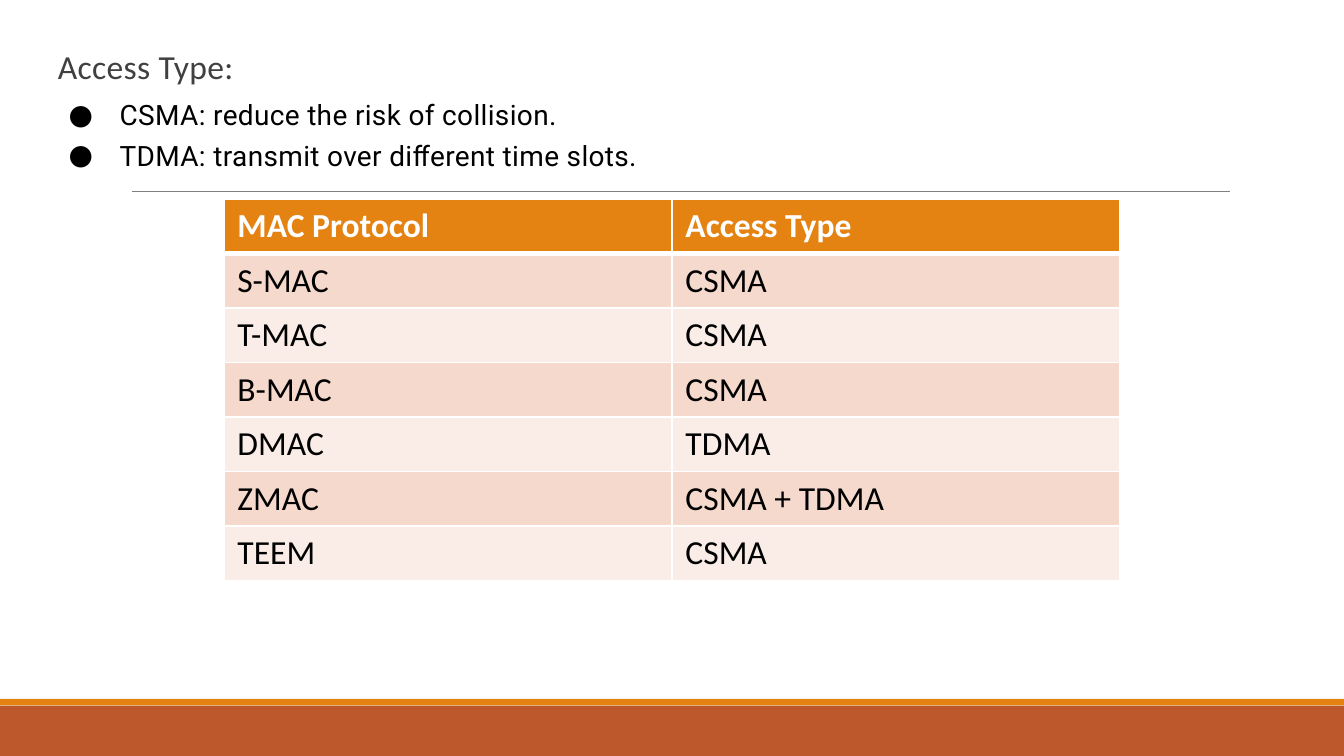
from dataclasses import dataclass

from lxml import etree
from pptx import Presentation
from pptx.dml.color import RGBColor
from pptx.enum.shapes import MSO_CONNECTOR, MSO_SHAPE
from pptx.enum.text import MSO_ANCHOR, MSO_AUTO_SIZE, PP_ALIGN
from pptx.oxml.ns import qn
from pptx.util import Inches, Pt

LINE = MSO_CONNECTOR.STRAIGHT
RECT = MSO_SHAPE.RECTANGLE
BOTTOM, TOP = MSO_ANCHOR.BOTTOM, MSO_ANCHOR.TOP
FIXED = MSO_AUTO_SIZE.NONE
LEFT = PP_ALIGN.LEFT
WIDE = Inches(10)
HIGH = WIDE * 9 // 16


@dataclass(frozen=True)
class Theme:
    """Colours, fonts and type sizes of the deck."""
    head: str = "E48312"
    base: str = "BD582C"
    rule: str = "808080"
    title: str = "404040"
    ink: str = "000000"
    white: str = "FFFFFF"
    bands: tuple = ("F5D9CC", "FAEDE7")
    main: str = "Calibri"
    list: str = "Roboto"
    big: float = 18
    small: float = 15


THEME = Theme()


def place(left, top, width, height):
    """Turn percent shares of the slide into a box in EMU."""
    return [round(share * side / 100) for share, side in
            zip((left, top, width, height), (WIDE, HIGH, WIDE, HIGH))]


def assign(item, values):
    """Set attributes from a dict of format values."""
    for name, value in values.items():
        setattr(item, name, value)


def write(para, text, color, font, size, bold=False, space=None):
    """Add one formatted run to a paragraph."""
    run = para.add_run()
    run.text = text
    assign(run.font, {"name": font, "size": Pt(size), "bold": bold})
    run.font.color.rgb = RGBColor.from_string(color)
    if space:
        run.font._element.set("spc", str(space))


def frame(shape, anchor, inset):
    """Fix the text frame of a shape and return it."""
    text = shape.text_frame
    assign(text, {"word_wrap": True, "auto_size": FIXED,
                  "vertical_anchor": anchor, "margin_left": 0,
                  "margin_right": 0, "margin_bottom": 0,
                  "margin_top": Inches(inset)})
    return text


def indent(para, left, first):
    """Indent a paragraph and return its properties."""
    props = para._p.get_or_add_pPr()
    props.set("marL", str(Inches(left)))
    props.set("indent", str(Inches(first)))
    return props


def add_band(slide, box, color):
    """Draw one plain band."""
    band = slide.shapes.add_shape(RECT, *box)
    band.shadow.inherit = False
    band.fill.solid()
    band.fill.fore_color.rgb = RGBColor.from_string(color)
    band.line.fill.background()


def add_rule(slide, box):
    """Draw a thin line along the top of the box."""
    left, top, width, _ = box
    rule = slide.shapes.add_connector(LINE, left, top, left + width, top)
    rule.line.width = Pt(0.5)
    rule.line.color.rgb = RGBColor.from_string(THEME.rule)
    etree.SubElement(rule._element.spPr, qn("a:effectLst"))


def add_title(slide, box, text):
    """Move and format the title placeholder."""
    title = slide.shapes.title
    assign(title, dict(zip(("left", "top", "width", "height"), box)))
    para = frame(title, BOTTOM, 0.01).paragraphs[0]
    assign(para, {"alignment": LEFT, "line_spacing": 1.0})
    indent(para, 0.01, 0)
    write(para, text, THEME.title, THEME.main, THEME.big, space=20)


def add_list(slide, box, lines):
    """Write a bulleted list."""
    text = frame(slide.shapes.add_textbox(*box), TOP, 0.05)
    for index, line in enumerate(lines):
        para = text.add_paragraph() if index else text.paragraphs[0]
        para.space_before = Pt(3.7)
        props = indent(para, 0.39, -0.38)
        etree.SubElement(props, qn("a:buFont"), typeface=THEME.list)
        etree.SubElement(props, qn("a:buChar"), char="●")
        write(para, line, THEME.ink, THEME.list, THEME.small, space=20)


def add_edges(cell, high, low):
    """Give a cell white borders with its own top and bottom widths."""
    props = cell._tc.get_or_add_tcPr()
    widths = {"lnL": 1, "lnR": 1, "lnT": high, "lnB": low}
    for index, (side, width) in enumerate(widths.items()):
        edge = etree.Element(qn("a:" + side), w=str(Pt(width)))
        fill = etree.SubElement(edge, qn("a:solidFill"))
        etree.SubElement(fill, qn("a:srgbClr"), val=THEME.white)
        props.insert(index, edge)


def add_grid(slide, box, data):
    """Build a table with a header and two row tints."""
    grid = slide.shapes.add_table(len(data), len(data[0]), *box).table
    grid.horz_banding = False
    for row, texts in enumerate(data):
        head = row == 0
        grid.rows[row].height = box[3] // len(data)
        fill = THEME.head if head else THEME.bands[(row - 1) % 2]
        ink = THEME.white if head else THEME.ink
        for col, text in enumerate(texts):
            cell = grid.cell(row, col)
            cell.fill.solid()
            cell.fill.fore_color.rgb = RGBColor.from_string(fill)
            add_edges(cell, 3 if row == 1 else 1, 3 if head else 1)
            write(cell.text_frame.paragraphs[0], text, ink,
                  THEME.main, THEME.big, bold=head)


def main():
    """Build and save the slide."""
    deck = Presentation()
    assign(deck, {"slide_width": WIDE, "slide_height": HIGH})
    slide = deck.slides.add_slide(deck.slide_layouts[5])
    add_band(slide, place(0, 93.33, 100, 6.67), THEME.base)
    add_band(slide, place(0, 92.44, 100, 0.89), THEME.head)
    add_rule(slide, place(9.8, 25.36, 81.7, 0))
    add_title(slide, place(4.2, 5.51, 16.1, 5.87), "Access Type:")
    add_list(slide, place(5, 12.09, 55.5, 10.84), [
        "CSMA: reduce the risk of collision.",
        "TDMA: transmit over di\ufb00erent time slots."])
    add_grid(slide, place(16.67, 26.31, 66.67, 50.49), [
        ("MAC Protocol", "Access Type"),
        ("S-MAC", "CSMA"),
        ("T-MAC", "CSMA"),
        ("B-MAC", "CSMA"),
        ("DMAC", "TDMA"),
        ("ZMAC", "CSMA + TDMA"),
        ("TEEM", "CSMA")])
    deck.save("out.pptx")


main()
